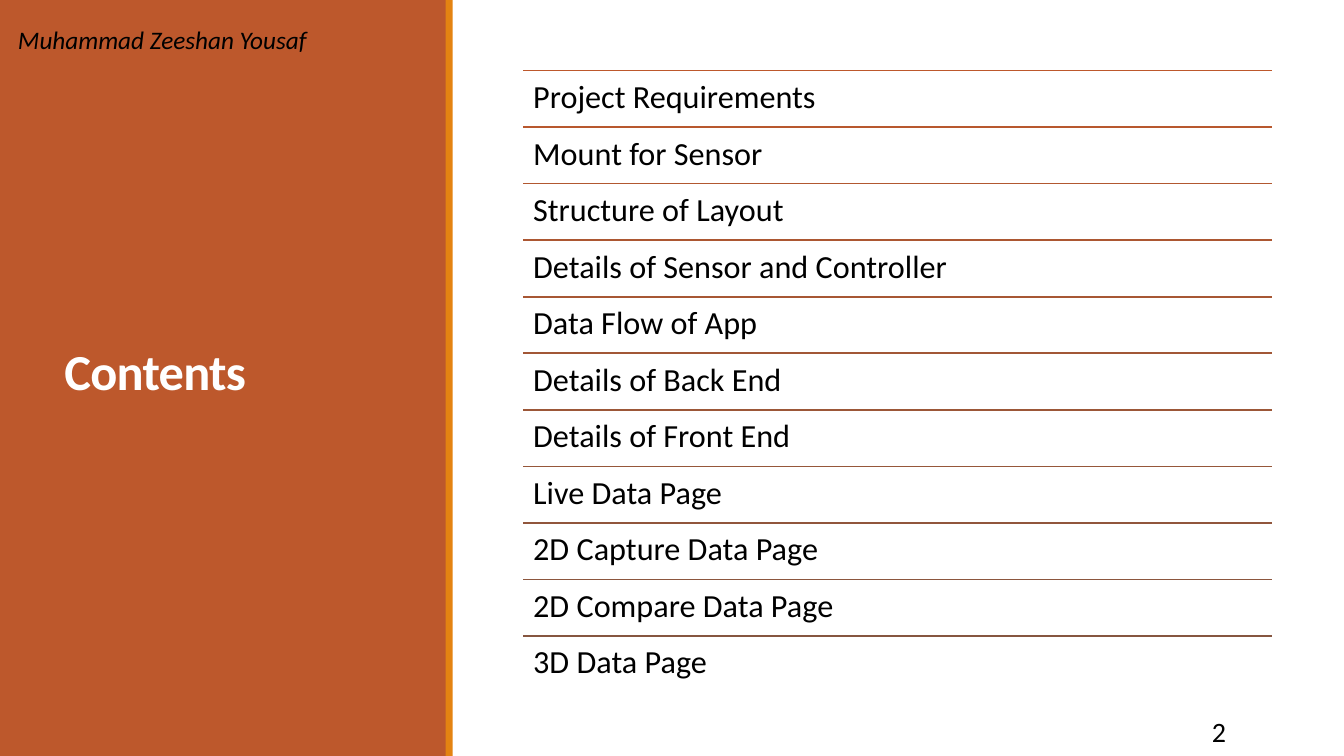
from lxml.etree import SubElement
from pptx import Presentation
from pptx.dml.color import RGBColor
from pptx.enum.shapes import MSO_CONNECTOR, MSO_SHAPE
from pptx.enum.text import MSO_ANCHOR, PP_ALIGN
from pptx.oxml.ns import qn
from pptx.util import Inches, Pt

RUST, ORANGE, WHITE, BLACK = "BD582C", "E48312", "FFFFFF", "000000"
FIRST_RULE, LAST_RULE = (189, 88, 44), (134, 86, 64)
TOPICS = [
    "Project Requirements",
    "Mount for Sensor",
    "Structure of Layout",
    "Details of Sensor and Controller",
    "Data Flow of App",
    "Details of Back End",
    "Details of Front End",
    "Live Data Page",
    "2D Capture Data Page",
    "2D Compare Data Page",
    "3D Data Page",
]
LIST_LEFT, LIST_WIDTH = 5.19, 7.43
LIST_TOP, LAST_TOP = 0.7, 6.31


def color(hex_code):
    return RGBColor.from_string(hex_code)


def add_text(text, left, top, width, height, size, hex_code=BLACK,
             anchor=MSO_ANCHOR.TOP, spacing=1.0):
    """Add a one-line text box and return its paragraph and run."""
    box = page.shapes.add_textbox(Inches(left), Inches(top), Inches(width), Inches(height))
    frame = box.text_frame
    frame.word_wrap = True
    frame.vertical_anchor = anchor
    para = frame.paragraphs[0]
    para.line_spacing = spacing
    span = para.add_run()
    span.text = text
    span.font.name = "Calibri"
    span.font.size = Pt(size)
    span.font.color.rgb = color(hex_code)
    return para, span


deck = Presentation()
deck.slide_width, deck.slide_height = Inches(13.33), Inches(7.5)
page = deck.slides.add_slide(deck.slide_layouts[6])

# Side panel and its accent stripe
for left, width, fill in [(0, 4.43, RUST), (4.42, 0.07, ORANGE)]:
    panel = page.shapes.add_shape(
        MSO_SHAPE.RECTANGLE, Inches(left), 0, Inches(width), deck.slide_height)
    panel.shadow.inherit = False
    panel.fill.solid()
    panel.fill.fore_color.rgb = color(fill)
    panel.line.fill.background()

para, title = add_text("Contents", 0.54, 0.57, 3.37, 6.31, 36, WHITE, MSO_ANCHOR.MIDDLE, 0.85)
title.font.bold = True
title.font._element.set("spc", "-50")

# Topics, each under a rule that fades from rust to brown
steps = len(TOPICS) - 1
row_height = (LAST_TOP - LIST_TOP) / steps
for index, topic in enumerate(TOPICS):
    top = LIST_TOP + index * row_height
    rule = page.shapes.add_connector(
        MSO_CONNECTOR.STRAIGHT, Inches(LIST_LEFT), Inches(top),
        Inches(LIST_LEFT + LIST_WIDTH), Inches(top))
    SubElement(rule._element.spPr, qn("a:effectLst"))
    rule.line.width = Pt(1.25)
    rule.line.color.rgb = RGBColor(*(
        round(start + (end - start) * index / steps)
        for start, end in zip(FIRST_RULE, LAST_RULE)))
    para, span = add_text(topic, LIST_LEFT, top, LIST_WIDTH, row_height, 23, spacing=0.9)
    frame = para._parent
    frame.margin_left = frame.margin_right = Inches(0.1)
    frame.margin_top = frame.margin_bottom = Inches(0.1)

para, number = add_text("2", 10.83, 7.06, 1.43, 0.4, 20, anchor=MSO_ANCHOR.MIDDLE)
para.alignment = PP_ALIGN.RIGHT

para, author = add_text("Muhammad Zeeshan Yousaf", 0.08, 0.19, 6.92, 0.4, 18)
author.font.italic = True

deck.save("out.pptx")
